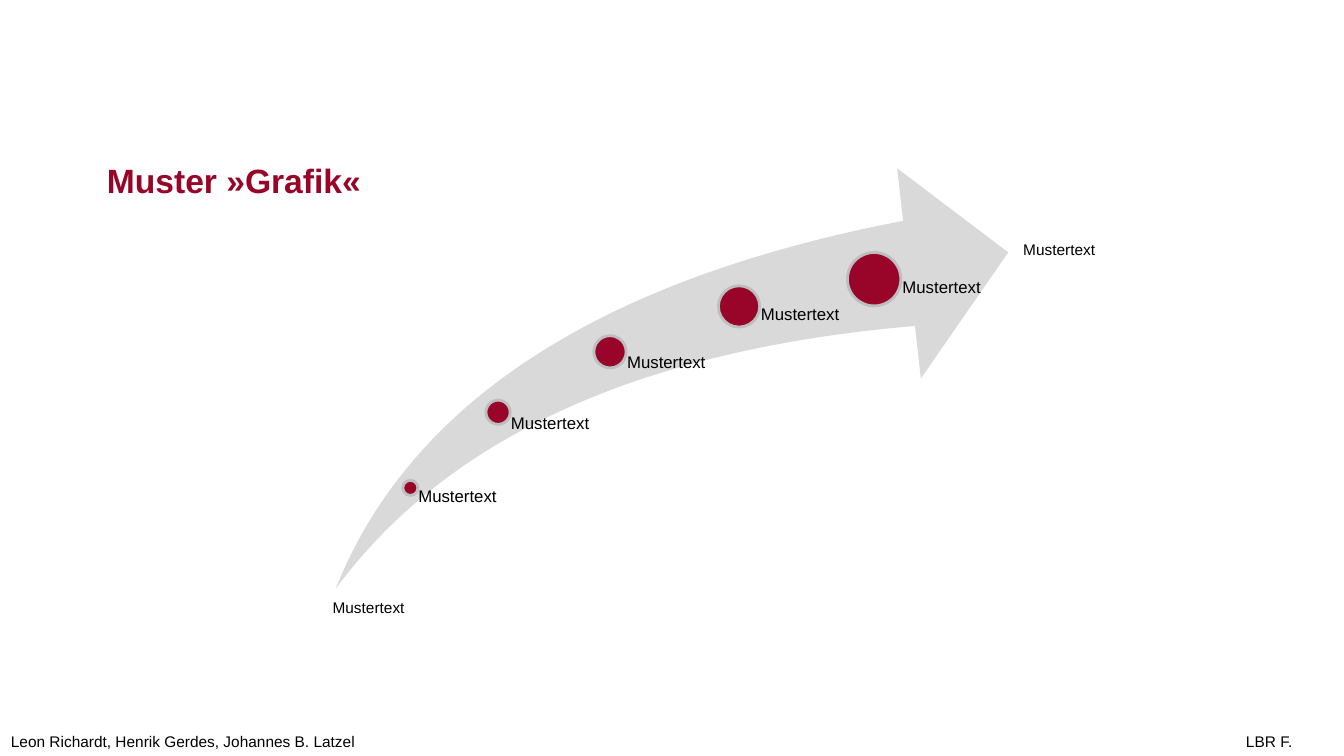
from pptx import Presentation
from pptx.dml.color import RGBColor
from pptx.enum.shapes import MSO_SHAPE
from pptx.enum.text import MSO_ANCHOR, MSO_AUTO_SIZE, PP_ALIGN
from pptx.util import Inches, Pt

COLORS = {"accent": "980528", "arrow": "D9D9D9", "ring": "BCBEBF", "text": "000000"}
ARROW_BOTTOM = 5.84
MILESTONES = [
    (4.07, 4.84, 0.15, 0.87, 0.9),
    (4.94, 4.09, 0.24, 1.11, 1.0),
    (6.05, 3.49, 0.32, 1.29, 1.0),
    (7.33, 3.04, 0.41, 1.33, 0.9),
    (8.67, 2.77, 0.53, 1.33, 0.9),
]
CAPTIONS = [
    ("Leon Richardt, Henrik Gerdes, Johannes B. Latzel", 0.01, 7.21, 3.94),
    ("LBR F.", 12.26, 7.21, 1.34),
    ("Mustertext", 10.05, 2.33, 1.58),
    ("Mustertext", 3.2, 5.88, 2.36),
]


class SlideBuilder:
    font = "Arial"

    def __init__(self, prs):
        self.s = prs.slides.add_slide(prs.slide_layouts[5])

    def color(self, name):
        return RGBColor.from_string(COLORS[name])

    def set_text(self, tf, text, size, color="text", bold=False, spacing=1.0):
        tf.word_wrap = True
        p = tf.paragraphs[0]
        p.text = text
        p.alignment = PP_ALIGN.LEFT
        p.line_spacing = spacing
        font = p.runs[0].font
        font.name = self.font
        font.size = Pt(size)
        font.bold = bold
        font.color.rgb = self.color(color)

    def inset(self, tf, left=0):
        tf.margin_left = Inches(left)
        tf.margin_top = tf.margin_right = tf.margin_bottom = 0

    def title(self, text, x, y, w, h):
        sp = self.s.shapes.title
        sp.left, sp.top, sp.width, sp.height = map(Inches, (x, y, w, h))
        tf = sp.text_frame
        self.inset(tf)
        tf.auto_size = MSO_AUTO_SIZE.NONE
        tf.vertical_anchor = MSO_ANCHOR.BOTTOM
        self.set_text(tf, text, 24, "accent", True, 1.5)

    def shape(self, kind, x, y, w, h, fill, line=None):
        sp = self.s.shapes.add_shape(kind, *map(Inches, (x, y, w, h)))
        sp.shadow.inherit = False
        sp.fill.solid()
        sp.fill.fore_color.rgb = self.color(fill)
        if line:
            sp.line.color.rgb = self.color(line)
            sp.line.width = Pt(2)
        else:
            sp.line.fill.background()
        return sp

    def textbox(self, x, y, w, h):
        return self.s.shapes.add_textbox(*map(Inches, (x, y, w, h))).text_frame

    def caption(self, text, x, y, w):
        tf = self.textbox(x, y, w, 0.29)
        tf.auto_size = MSO_AUTO_SIZE.SHAPE_TO_FIT_TEXT
        self.set_text(tf, text, 11)

    def milestone(self, text, cx, cy, size, width, spacing):
        self.shape(MSO_SHAPE.OVAL, cx - size / 2, cy - size / 2, size, size, "accent", "ring")
        tf = self.textbox(cx, cy, width, ARROW_BOTTOM - cy)
        self.inset(tf, size * 0.53)
        self.set_text(tf, text, 12, spacing=spacing)


def main():
    prs = Presentation()
    prs.slide_width, prs.slide_height = Inches(13.33), Inches(7.5)
    slide = SlideBuilder(prs)
    slide.title("Muster »Grafik«", 1.06, 1.39, 11.22, 0.6)
    arrow = slide.shape(MSO_SHAPE.SWOOSH_ARROW, 3.33, 1.67, 6.67, 4.17, "arrow")
    arrow.adjustments[0] = arrow.adjustments[1] = 0.25
    for milestone in MILESTONES:
        slide.milestone("Mustertext", *milestone)
    for caption in CAPTIONS:
        slide.caption(*caption)
    prs.save("out.pptx")


if __name__ == "__main__":
    main()
